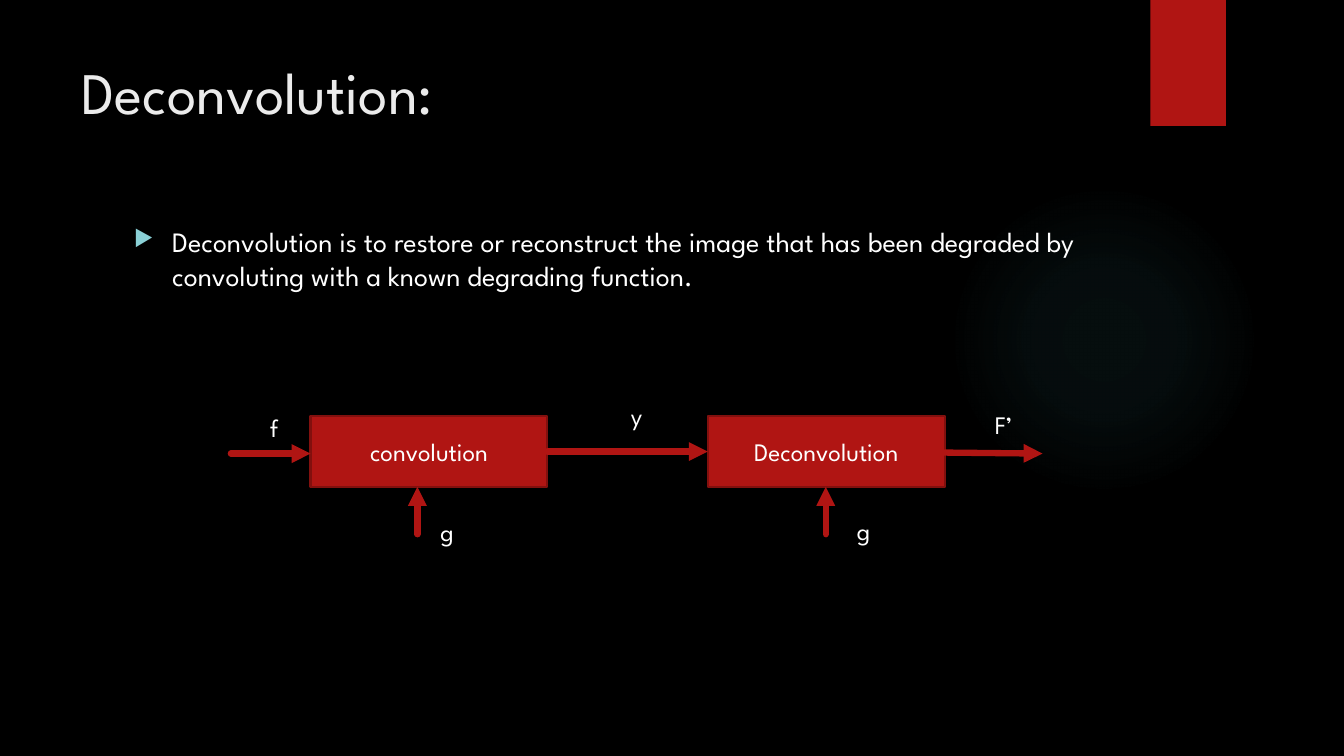
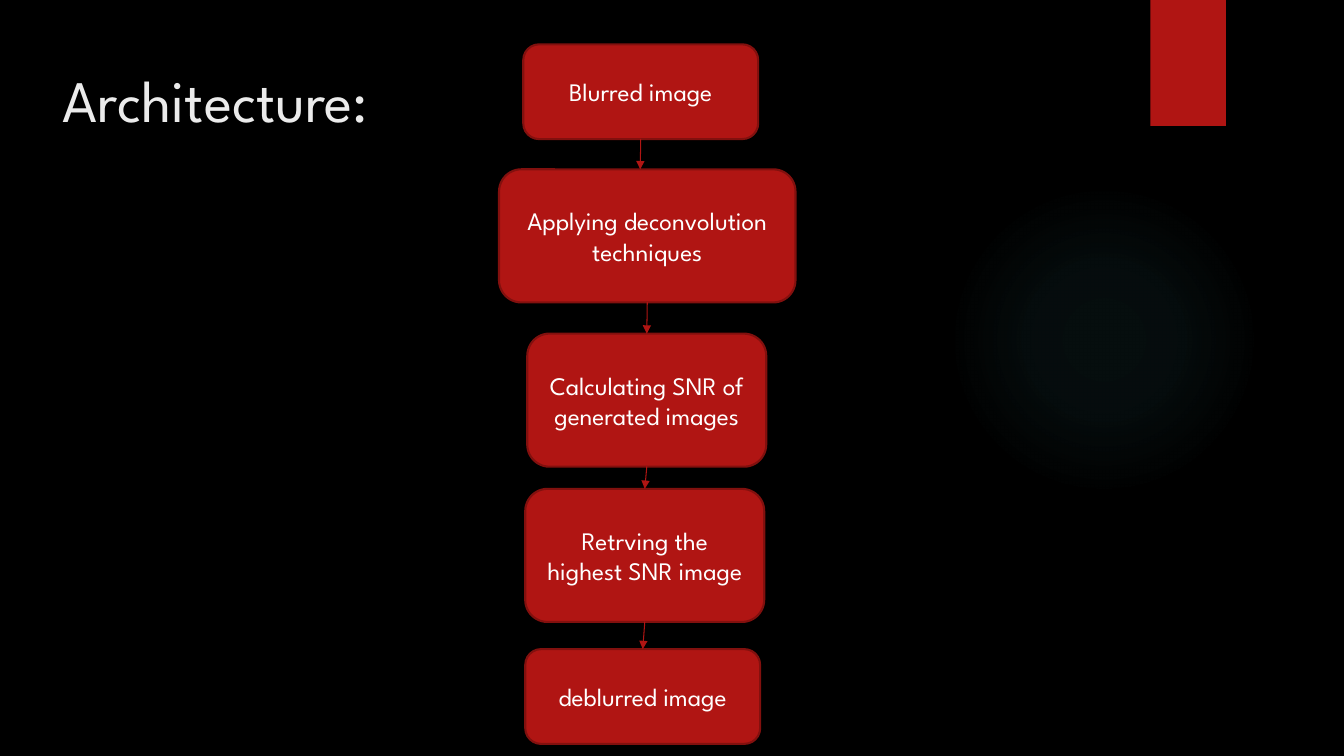
import pptx
import pptx.util
import pptx.dml.color
import pptx.enum.shapes
import pptx.enum.text
import pptx.oxml
import pptx.oxml.ns

PX = 9144  # EMU per px, 100 px to the inch
FONT = "League Spartan"
COLORS = {"back": "000000", "title": "EBEBEB", "text": "FFFFFF", "red": "B01513",
          "edge": "82100E", "bullet": "8AD0D6", "glow": "50B9C1"}

# Shared decoration
GLOW = (941, 183, 308, 308)
GLOW_STOPS = [(0, 7), (36, 6), (69, 0), (100, 0)]  # position %, opacity %
BAND = (1141, 0, 75, 125)

# Slide 1
DECONVOLUTION = {
    "title": ("Deconvolution:", (71, 50, 1029, 153)),
    "definition": ("Deconvolution is to restore or reconstruct the image that has been "
                   "degraded by convoluting with a known degrading function.",
                   (123, 218, 978, 459)),
    "blocks": [("convolution", (308, 413, 235, 70)),
               ("Deconvolution", (702, 413, 235, 70))],
    "signals": [((229, 450), (308, 450)), ((937, 449), (1034, 450)),
                ((414, 530), (414, 483)), ((819, 530), (819, 483))],
    "labels": [("f", (258, 404, 28, 40)), ("y", (616, 392, 32, 40)),
               ("F’", (977, 401, 38, 40)), ("g", (427, 507, 32, 40)),
               ("g", (840, 506, 32, 40))],
}

# Slide 2: each step has its text, box and, if off centre, the x where its arrow enters
ARCHITECTURE = {
    "title": ("Architecture:", (52, 58, 1029, 153)),
    "steps": [("Blurred image", (519, 44, 233, 94), None),
              ("Applying deconvolution techniques", (495, 168, 294, 132), 635),
              ("Calculating SNR of generated images", (523, 331, 237, 132), None),
              ("Retrving the highest SNR image", (521, 485, 237, 132), None),
              ("deblurred image", (521, 644, 233, 94), None)],
}

SHAPE = pptx.enum.shapes.MSO_SHAPE
ALIGN = pptx.enum.text.PP_ALIGN
ANCHOR = pptx.enum.text.MSO_ANCHOR
BOTTOM, RIGHT, TOP, LEFT = 2, 3, 0, 1  # connection sites


def emu(lengths):
    return [length * PX for length in lengths]


def rgb(name):
    return pptx.dml.color.RGBColor.from_string(COLORS[name])


def xml(markup):
    """Parse an element whose first tag is in the drawing namespace."""
    tag, rest = markup[:-1].split(" ", 1) if " " in markup else (markup[:-2], "/")
    return pptx.oxml.parse_xml(f"{tag} {pptx.oxml.ns.nsdecls('a')} {rest}>")


def write(frame, text, size, color="text", align=ALIGN.LEFT, anchor=ANCHOR.TOP, wrap=True):
    frame.word_wrap = wrap
    frame.auto_size = pptx.enum.text.MSO_AUTO_SIZE.NONE
    frame.vertical_anchor = anchor
    paragraph = frame.paragraphs[0]
    paragraph.alignment = align
    run = paragraph.add_run()
    run.text = text
    run.font.name = FONT
    run.font.size = pptx.util.Pt(size)
    run.font.color.rgb = rgb(color)
    return paragraph


def add_block(slide, kind, box, text=None):
    block = slide.shapes.add_shape(kind, *emu(box))
    block.shadow.inherit = False
    block.fill.solid()
    block.fill.fore_color.rgb = rgb("red")
    if text:
        block.line.color.rgb = rgb("edge")
        block.line.width = pptx.util.Pt(1.5)
        write(block.text_frame, text, 18, align=ALIGN.CENTER, anchor=ANCHOR.MIDDLE)
    else:
        block.line.fill.background()
    return block


def add_arrow(slide, start, end, width):
    arrow = slide.shapes.add_connector(pptx.enum.shapes.MSO_CONNECTOR.STRAIGHT,
                                       *emu(start), *emu(end))
    arrow.line.color.rgb = rgb("red")
    arrow.line.width = pptx.util.Pt(width)
    line = arrow.line._get_or_add_ln()
    line.set("cap", "rnd")
    line.append(xml('<a:tailEnd type="triangle"/>'))
    arrow._element.spPr.append(xml("<a:effectLst/>"))
    return arrow


def add_glow(slide):
    glow = slide.shapes.add_shape(SHAPE.OVAL, *emu(GLOW))
    glow.shadow.inherit = False
    glow.line.fill.background()
    stops = "".join(
        f'<a:gs pos="{position * 1000}"><a:srgbClr val="{COLORS["glow"]}">'
        f'<a:alpha val="{opacity * 1000}"/></a:srgbClr></a:gs>'
        for position, opacity in GLOW_STOPS)
    gradient = xml(f'<a:gradFill rotWithShape="1"><a:gsLst>{stops}</a:gsLst><a:path path="circle">'
                   '<a:fillToRect l="50000" t="50000" r="50000" b="50000"/></a:path></a:gradFill>')
    glow._element.spPr.find(pptx.oxml.ns.qn("a:prstGeom")).addnext(gradient)


def add_slide(deck, title):
    text, box = title
    slide = deck.slides.add_slide(deck.slide_layouts[5])
    heading = slide.shapes.title
    heading.left, heading.top, heading.width, heading.height = emu(box)
    write(heading.text_frame, text, 42, "title")
    add_glow(slide)
    add_block(slide, SHAPE.RECTANGLE, BAND)
    return slide


def add_text(slide, text, box, size, wrap):
    area = slide.shapes.add_textbox(*emu(box))
    return write(area.text_frame, text, size, wrap=wrap)


def build_deconvolution(deck):
    slide = add_slide(deck, DECONVOLUTION["title"])

    # Bulleted definition
    definition = add_text(slide, *DECONVOLUTION["definition"], 20, True)
    definition.space_before = pptx.util.Pt(10)
    properties = definition._p.get_or_add_pPr()
    properties.set("marL", str(38 * PX))
    properties.set("indent", str(-38 * PX))
    for bullet in (f'<a:buClr ><a:srgbClr val="{COLORS["bullet"]}"/></a:buClr>',
                   '<a:buSzPct val="80000"/>', '<a:buChar char="▶"/>'):
        properties.append(xml(bullet))

    # Signal chain
    convolution, deconvolution = [add_block(slide, SHAPE.RECTANGLE, box, text)
                                  for text, box in DECONVOLUTION["blocks"]]
    for start, end in DECONVOLUTION["signals"]:
        add_arrow(slide, start, end, 4.5)
    link = add_arrow(slide, (0, 0), (0, 0), 4.5)
    link.begin_connect(convolution, RIGHT)
    link.end_connect(deconvolution, LEFT)
    for text, box in DECONVOLUTION["labels"]:
        add_text(slide, text, box, 18, False)


def build_architecture(deck):
    slide = add_slide(deck, ARCHITECTURE["title"])
    previous = None
    for text, box, entry in ARCHITECTURE["steps"]:
        step = add_block(slide, SHAPE.ROUNDED_RECTANGLE, box, text)
        if previous:
            arrow = add_arrow(slide, (0, 0), (entry or 0, box[1]), 0.75)
            arrow.begin_connect(previous, BOTTOM)
            if entry is None:
                arrow.end_connect(step, TOP)
        previous = step


def main():
    deck = pptx.Presentation()
    deck.slide_width, deck.slide_height = emu((1333, 750))
    backdrop = deck.slide_master.background.fill
    backdrop.solid()
    backdrop.fore_color.rgb = rgb("back")
    build_deconvolution(deck)
    build_architecture(deck)
    deck.save("out.pptx")


if __name__ == "__main__":
    main()
